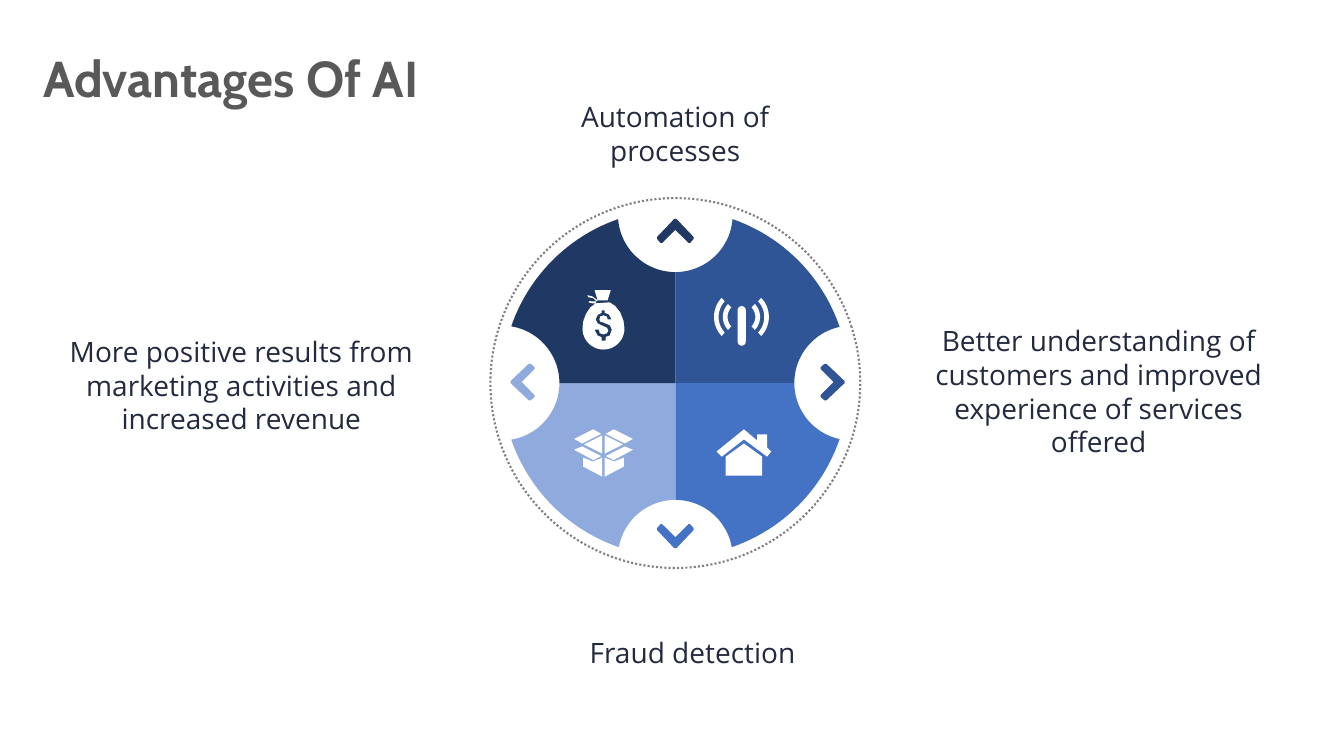
from dataclasses import dataclass
from math import acos, atan2, cos, degrees, radians, sin

from pptx import Presentation
from pptx.dml.color import RGBColor
from pptx.enum.dml import MSO_LINE
from pptx.enum.shapes import MSO_SHAPE
from pptx.enum.text import MSO_ANCHOR, PP_ALIGN
from pptx.slide import Slide
from pptx.util import Pt

ARC = MSO_SHAPE.ARC
DOTTED = MSO_LINE.ROUND_DOT
MIDDLE = MSO_ANCHOR.MIDDLE
LEFT, CENTER = PP_ALIGN.LEFT, PP_ALIGN.CENTER

Point = tuple[float, float]
Contour = list[Point]

COLORS = {
    "title": "595959",
    "caption": "232A3F",
    "ring": "808080",
    "white": "FFFFFF",
    "right": "2F5597",
    "bottom": "4472C4",
    "left": "8FAADC",
    "top": "203864",
}
HUB: Point = (482.4, 273.6)
WHEEL_RADIUS = 124
NOTCH_RADIUS = 41
RING_RADIUS = 132.1


@dataclass(frozen=True)
class Direction:
    color: str
    angle: float
    notch_gap: float
    chevron_center: Point


@dataclass(frozen=True)
class Caption:
    text: str
    left: float
    top: float
    width: float


@dataclass(frozen=True)
class Icon:
    origin: Point
    contours: list[Contour]


DIRECTIONS = [
    Direction("right", 0, 85, (594.7, 272.9)),
    Direction("bottom", 90, 83.5, (482.4, 383)),
    Direction("left", 180, 82.8, (373.3, 272.9)),
    Direction("top", 270, 79.2, (482.4, 164.9)),
]
CAPTIONS = [
    Caption("Automation of processes", 401, 83.5, 162.7),
    Caption("More positive results from marketing activities and increased revenue",
            40.3, 263.5, 264.2),
    Caption("Better understanding of customers and improved experience of services offered",
            658.8, 267.8, 252),
    Caption("Fraud detection", 413.3, 454.3, 162.7),
]


def turn(points: Contour, angle: float) -> Contour:
    c, s = cos(radians(angle)), sin(radians(angle))
    return [(x * c - y * s, x * s + y * c) for x, y in points]


def mirror(points: Contour) -> Contour:
    return [(-x, y) for x, y in points]


def arc(radius: float, start: float, end: float, center: Point = (0, 0),
        steps: int = 24) -> Contour:
    angles = [radians(start + (end - start) * i / steps) for i in range(steps + 1)]
    return [(center[0] + radius * cos(a), center[1] + radius * sin(a)) for a in angles]


def notch(gap: float, side: int) -> Contour:
    distance = gap + NOTCH_RADIUS
    cosine = (distance**2 + NOTCH_RADIUS**2 - WHEEL_RADIUS**2) / (2 * distance * NOTCH_RADIUS)
    sweep = degrees(acos(cosine))
    return arc(NOTCH_RADIUS, 180, 180 - side * sweep, (distance, 0))


def quadrant(first: Direction, second: Direction) -> Contour:
    opening = turn(notch(first.notch_gap, 1), first.angle)
    closing = turn(notch(second.notch_gap, -1), first.angle + 90)[::-1]
    start, end = (degrees(atan2(y, x)) for x, y in (opening[-1], closing[0]))
    rim = arc(WHEEL_RADIUS, start, start + (end - start) % 360)
    return [(0, 0)] + opening + rim + closing


def wave(inner: float, outer: float) -> Contour:
    return arc(outer, -44, 44) + arc(inner, 43, -43)


def draw_outline(page: Slide, origin: Point, contours: list[Contour], color: str) -> None:
    placed = [[(Pt(origin[0] + x), Pt(origin[1] + y)) for x, y in c] for c in contours]
    builder = page.shapes.build_freeform(*placed[0][0])
    builder.add_line_segments(placed[0][1:], close=True)
    for contour in placed[1:]:
        builder.move_to(*contour[0])
        builder.add_line_segments(contour[1:], close=True)
    outline = builder.convert_to_shape()
    outline.shadow.inherit = False
    outline.fill.solid()
    outline.fill.fore_color.rgb = RGBColor.from_string(COLORS[color])
    outline.line.fill.background()


def draw_ring(page: Slide) -> None:
    ring = page.shapes.add_shape(ARC, Pt(HUB[0] - RING_RADIUS), Pt(HUB[1] - RING_RADIUS),
                                 Pt(2 * RING_RADIUS), Pt(2 * RING_RADIUS))
    ring.adjustments[0] = 97.2
    ring.adjustments[1] = 97.11
    ring.rotation = 180
    ring.shadow.inherit = False
    ring.fill.background()
    ring.line.color.rgb = RGBColor.from_string(COLORS["ring"])
    ring.line.width = Pt(1.5)
    ring.line.dash_style = DOTTED


def draw_text(page: Slide, text: str, *, left: float, top: float, width: float,
              height: float = 23, size: float = 20, font: str = "Open Sans",
              color: str = "caption", bold: bool = False, align: PP_ALIGN = CENTER,
              spacing: float = 1.0) -> None:
    box = page.shapes.add_textbox(Pt(left), Pt(top), Pt(width), Pt(height))
    box.text_frame.word_wrap = True
    box.text_frame.vertical_anchor = MIDDLE
    para = box.text_frame.paragraphs[0]
    para.alignment = align
    para.line_spacing = spacing
    span = para.add_run()
    span.text = text
    span.font.name = font
    span.font.size = Pt(size)
    span.font.bold = bold
    span.font.color.rgb = RGBColor.from_string(COLORS[color])


CHEVRON_HALF = [(8.6, 0.7), (-4.3, 13), (-5.8, 13), (-8.6, 10.6), (-8.6, 9.4)]
CHEVRON = CHEVRON_HALF + [(0.7, 0)] + [(x, -y) for x, y in reversed(CHEVRON_HALF)]

BAG = [(-5.6, -18), (-9.5, -15), (-12.5, -10.5), (-14.5, -5), *arc(15, 180, 0),
       (14.3, -5.5), (12, -11.5), (8.5, -16), (4.5, -18.7)]
BAG_NECK = [(-6.3, -27.4), (5.2, -27.4), (3, -20.2), (-4.2, -20.2)]
BAG_STRINGS = [
    [(-4.2, -20.2), (-8, -23), (-11.5, -23.8), (-10.8, -22.3), (-7.5, -21.8), (-5, -19.5)],
    [(-5, -19.4), (-10, -19.5), (-10.8, -18.7), (-8, -18), (-5.8, -18)],
]
DOLLAR = [(4.5, 5), (1.6, 6), (1.6, 8.6), (-1.3, 8.6), (-1.3, 6.2), (-4.2, 5), (-6.1, 1.4),
          (-6.1, 0.7), (-3.3, 0.7), (-2.6, 3.4), (0.1, 4.2), (2.4, 3.4), (3.5, 1.4),
          (2.4, -0.6), (-0.5, -1.9), (-4.1, -3.6), (-5.6, -6.5), (-4.1, -9.8),
          (-1.3, -11.2), (-1.3, -13), (0.9, -13), (0.9, -11.2), (3.9, -10), (5.8, -6.5),
          (3, -6.5), (2.4, -8.5), (0.1, -9.4), (-2.3, -8.6), (-2.9, -6.5), (-2.3, -5),
          (0.1, -4.2), (4.6, -2.3), (6, 0.8)]

MAST = arc(2.9, 180, 360, (0.2, -4.8)) + arc(2.9, 0, 180, (0.2, 17.6))
WAVES = [wave(16.3, 19.6), wave(9.9, 13.3)]

BOX_HALF = [
    [(0.9, 4.3), (0.9, 17.3), (13.9, 10.8)],
    [(21, 14.6), (7.3, 22), (1.6, 19.1), (15.2, 12.2)],
    [(21, 6.8), (15.2, 10.1), (1.6, 3.2), (7.3, 0)],
    [(0.9, 20.2), (0.9, 33.8), (14.5, 26.6), (14.5, 20.2), (7.7, 23)],
]
HOUSE = [
    [(-13, 19.5), (-13, 33.1), (13, 33.1), (13, 19.5), (0, 10.1)],
    [(16.6, 13), (16.6, 3.6), (9.4, 3.6), (9.4, 7.9), (0, 0), (-19.5, 15.8),
     (-15.8, 19.5), (0, 7.2), (16.6, 19.5), (19.5, 15.8)],
]
ICONS = [
    Icon((431.1, 306.7), BOX_HALF + [mirror(part) for part in BOX_HALF]),
    Icon((431.1, 234.7), [BAG, DOLLAR, BAG_NECK, *BAG_STRINGS]),
    Icon((529.6, 226.4), [MAST, *WAVES, *[mirror(band) for band in WAVES]]),
    Icon((531.4, 306.7), HOUSE),
]


def main() -> None:
    deck = Presentation()
    deck.slide_width, deck.slide_height = Pt(960), Pt(540)
    page = deck.slides.add_slide(deck.slide_layouts[6])
    draw_text(page, "Advantages Of AI", left=23.8, top=33.1, width=319, height=49.7,
              size=36, font="Cabin", color="title", bold=True, align=LEFT, spacing=0.9)
    for index, direction in enumerate(DIRECTIONS):
        previous = DIRECTIONS[index - 1]
        draw_outline(page, HUB, [quadrant(previous, direction)], direction.color)
    draw_ring(page)
    for direction in DIRECTIONS:
        draw_outline(page, direction.chevron_center, [turn(CHEVRON, direction.angle)],
                     direction.color)
    for icon in ICONS:
        draw_outline(page, icon.origin, icon.contours, "white")
    for caption in CAPTIONS:
        draw_text(page, caption.text, left=caption.left, top=caption.top, width=caption.width)
    deck.save("out.pptx")


if __name__ == "__main__":
    main()
